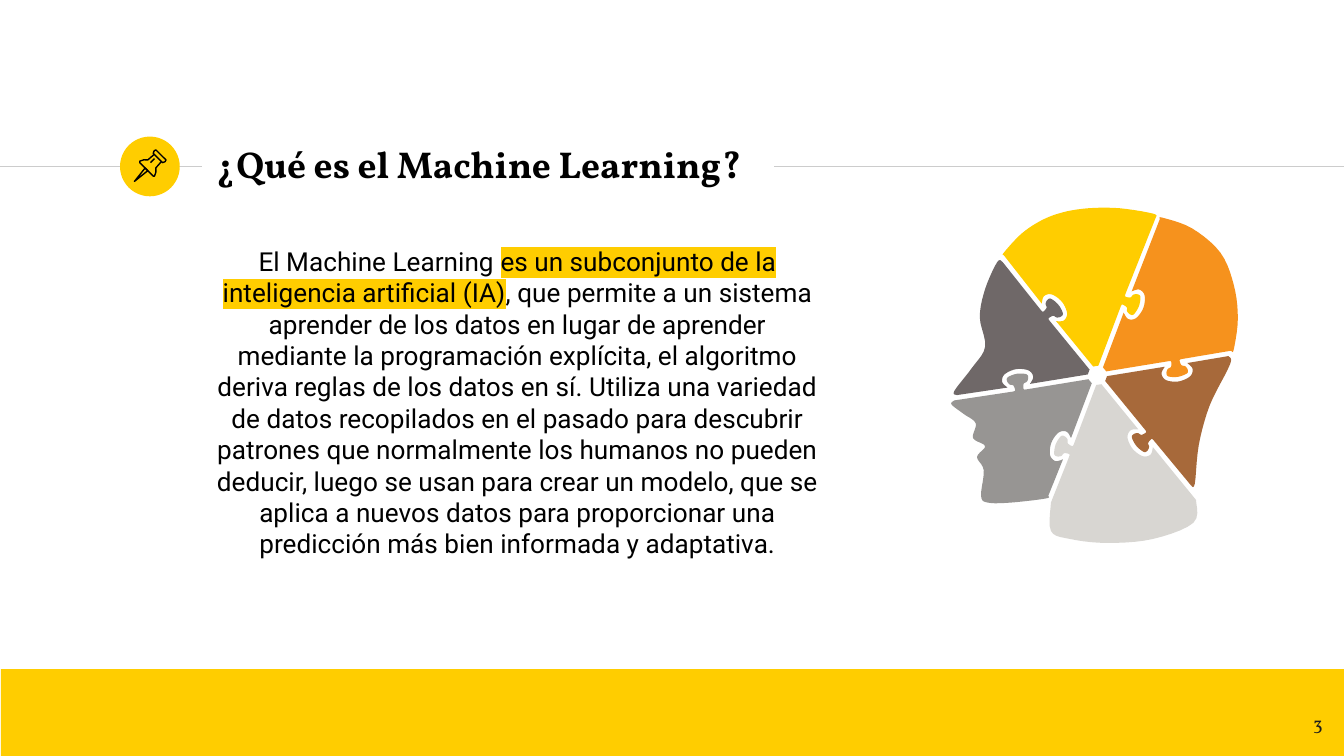
from dataclasses import dataclass
from math import cos, radians, sin

from lxml.etree import SubElement
from pptx import Presentation
from pptx.dml.color import RGBColor as RGB
from pptx.enum.shapes import MSO_CONNECTOR as Link, MSO_SHAPE as Kind
from pptx.enum.text import MSO_ANCHOR as Anchor, MSO_AUTO_SIZE as Fit, PP_ALIGN as Align
from pptx.oxml.ns import qn
from pptx.util import Pt


@dataclass(frozen=True)
class Theme:
    accent: str = "FFCD00"
    rule: str = "CCCCCC"
    ink: str = "000000"
    soft: str = "1D1D1B"
    orange: str = "F6921D"
    brown: str = "A7693A"
    light: str = "D8D6D2"
    gray: str = "979593"
    dark: str = "6F6868"
    serif: str = "Vollkorn"
    sans: str = "Roboto"
    title: int = 20
    body: int = 14
    small: int = 10
    thin: float = 0.75


THEME = Theme()
RULE_Y = 89.2
UNIT = 0.72  # points per drawing unit
STEPS = 5  # chords between two points of a smooth curve

# Pin: half profiles as (across, along) its axis, measured from the tip.
PIN_TIP, PIN_TILT = (100, 135), 45
NEEDLE = [(1.4, 12.7), (0, 0)]
CAP = [(4.9, 24.7), (5.7, 26.5), (5.3, 27.9)]
BODY = [(3.8, 24.4), (4.2, 18.4), (6.4, 16.3), (7.8, 13.4), (7.1, 12.7)]
SHINE = [(-1.4, 18.4), (-1.4, 22.6)]

# Puzzle: six equal sectors round a hub. On every spoke, one piece's tab
# reaches clockwise into the next piece's socket.
HUB, FIRST, SECTOR = (816.5, 279.3), 9.3, 60
GAP = 1.8  # from spoke to edge of a piece
CORE = 7  # from hub to the corners of a piece
KNOB = 59  # from hub to the middle of a tab
TAB = [(5, -GAP), (3.2, -1.2), (3.9, 2.6), (6.6, 3.9), (8, 6.8), (6.9, 9.4), (0, 10.8)]
SOCKET = [(8.5, GAP), (11.7, 6.6), (9, 11.9), (0, 14.3)]

# Outer edge of each piece, anticlockwise from the first spoke.
CROWN = [
    (THEME.orange, [(916, 261), (918, 260), (921, 237), (918, 212), (908, 188),
                    (887, 170), (865, 162), (863, 163)]),
    (THEME.accent, [(860, 162), (858, 159), (833, 155), (810, 155), (791, 158),
                    (775, 164), (760, 174), (747, 188), (747, 190)]),
    (THEME.dark, [(746, 195), (742, 195), (733, 215), (729, 236), (733, 258),
                  (723, 274), (710, 291), (712, 294)]),
    (THEME.gray, [(710, 298), (708, 301), (717, 308), (726, 315), (724, 326),
                  (733, 332), (727, 340), (732, 350), (730, 369), (735, 374),
                  (752, 374), (778, 371), (780, 369)]),
    (THEME.light, [(782, 374), (782, 395), (796, 401), (824, 404), (858, 401),
                   (888, 389), (890, 372)]),
    (THEME.brown, [(886, 361), (889, 360), (892, 331), (900, 302), (913, 276),
                   (916, 268), (914, 265)]),
]


def color(name):
    return RGB.from_string(name)


def place(origin, angle, along, across):
    """Point at a distance along a ray, then across it to its clockwise side."""
    c, s = cos(radians(angle)), sin(radians(angle))
    return origin[0] + along * c + across * s, origin[1] - along * s + across * c


def mirror(half):
    """Add the other half of a profile, without doubling a point on the axis."""
    return half + [(-side, reach) for side, reach in reversed(half) if side]


def smooth(spots):
    """Run a Catmull-Rom curve through the points."""
    ends = [spots[0], *spots, spots[-1]]
    curve = [spots[0]]
    for quad in zip(ends, ends[1:], ends[2:], ends[3:]):
        for t in (step / STEPS for step in range(1, STEPS + 1)):
            curve.append(tuple(
                b + t / 2 * (c - a + t * (2*a - 5*b + 4*c - d + t * (3*b - a - 3*c + d)))
                for a, b, c, d in zip(*quad)))
    return curve


def paint(shape, fill=None, line=None):
    shape.shadow.inherit = False
    if fill:
        shape.fill.solid()
        shape.fill.fore_color.rgb = color(fill)
    else:
        shape.fill.background()
    if line:
        shape.line.color.rgb = color(line)
        shape.line.width = Pt(THEME.thin)
    else:
        shape.line.fill.background()


def outline(slide, spots, closed=True, fill=None, line=None):
    first, *rest = [(Pt(x * UNIT), Pt(y * UNIT)) for x, y in spots]
    pen = slide.shapes.build_freeform(*first, scale=1.0)
    pen.add_line_segments(rest, close=closed)
    shape = pen.convert_to_shape()
    paint(shape, fill, line)
    return shape


def pin(slide):
    parts = []
    for path, closed in ((mirror(NEEDLE), True), (mirror(CAP), True),
                         (mirror(BODY), False), (SHINE, False)):
        spots = [place(PIN_TIP, PIN_TILT, reach, side) for side, reach in path]
        parts.append(outline(slide, spots, closed, line=THEME.ink))
    slide.shapes.add_group_shape(parts)


def seam(angle, knob, gap):
    """One edge of a piece, from its corner by the hub outwards."""
    curve = [(KNOB + side, reach) for side, reach in smooth(mirror(knob)[::-1])]
    return [place(HUB, angle, *spot) for spot in [(CORE, gap), *curve]]


def head(slide):
    parts = []
    for i, (fill, edge) in enumerate(CROWN):
        start = FIRST + i * SECTOR
        out = seam(start, TAB, -GAP)
        back = seam(start + SECTOR, SOCKET, GAP)[::-1]
        parts.append(outline(slide, out + smooth(edge) + back, fill=fill))
    slide.shapes.add_group_shape(parts)


def block(slide, kind, box, fill):
    paint(slide.shapes.add_shape(kind, *map(Pt, box)), fill)


def rule(slide, left, right):
    line = slide.shapes.add_connector(
        Link.STRAIGHT, Pt(left), Pt(RULE_Y), Pt(right), Pt(RULE_Y))
    line.line.color.rgb = color(THEME.rule)
    line.line.width = Pt(THEME.thin)
    SubElement(line.element.spPr, qn("a:effectLst"))


def write(para, text, size, face, ink=THEME.ink, bold=False, mark=None):
    run = para.add_run()
    run.text = text
    font = run.font
    font.size, font.name, font.bold = Pt(size), face, bold
    font.color.rgb = color(ink)
    if mark:
        props = run._r.get_or_add_rPr()
        glow = SubElement(props, qn("a:highlight"))
        SubElement(glow, qn("a:srgbClr"), val=mark)
        props.find(qn("a:solidFill")).addnext(glow)


def frame(shape, align, anchor=Anchor.TOP):
    """Set up the text frame and return its first paragraph."""
    text = shape.text_frame
    text.word_wrap, text.auto_size = True, Fit.NONE
    text.vertical_anchor = anchor
    text.margin_left = text.margin_right = Pt(7.2)
    text.margin_top = text.margin_bottom = Pt(7.2)
    para = text.paragraphs[0]
    para.alignment = align
    return para


def label(slide, box, align):
    return frame(slide.shapes.add_textbox(*map(Pt, box)), align)


def heading(slide, box, text):
    title = slide.shapes.title
    title.left, title.top, title.width, title.height = map(Pt, box)
    para = frame(title, Align.LEFT, Anchor.MIDDLE)
    write(para, text, THEME.title, THEME.serif, bold=True)


def main():
    deck = Presentation()
    deck.slide_width, deck.slide_height = Pt(720), Pt(405)
    slide = deck.slides.add_slide(deck.slide_layouts[5])

    rule(slide, 0, 108)
    block(slide, Kind.OVAL, (64.3, 73.2, 32, 32), THEME.accent)
    rule(slide, 414.7, 720)
    block(slide, Kind.RECTANGLE, (0.5, 358.5, 720, 46.5), THEME.accent)
    heading(slide, (108.7, 70.2, 305.3, 34.6), "¿Qué es el Machine Learning?")
    pin(slide)

    para = label(slide, (108.7, 124.2, 337, 173.5), Align.CENTER)
    para.space_before = Pt(6)
    for text, mark in (
        ("El Machine Learning ", None),
        ("es un subconjunto de la inteligencia artificial (IA)", THEME.accent),
        (", que permite a un sistema aprender de los datos en lugar de aprender "
         "mediante la programación explícita, el algoritmo deriva reglas de los "
         "datos en sí. Utiliza una variedad de datos recopilados en el pasado para "
         "descubrir patrones que normalmente los humanos no pueden deducir, luego "
         "se usan para crear un modelo, que se aplica a nuevos datos para "
         "proporcionar una predicción más bien informada y adaptativa.", None),
    ):
        write(para, text, THEME.body, THEME.sans, mark=mark)

    para = label(slide, (672.5, 374, 43.2, 31), Align.RIGHT)
    write(para, "3", THEME.small, THEME.serif, THEME.soft)
    head(slide)
    deck.save("out.pptx")


if __name__ == "__main__":
    main()
